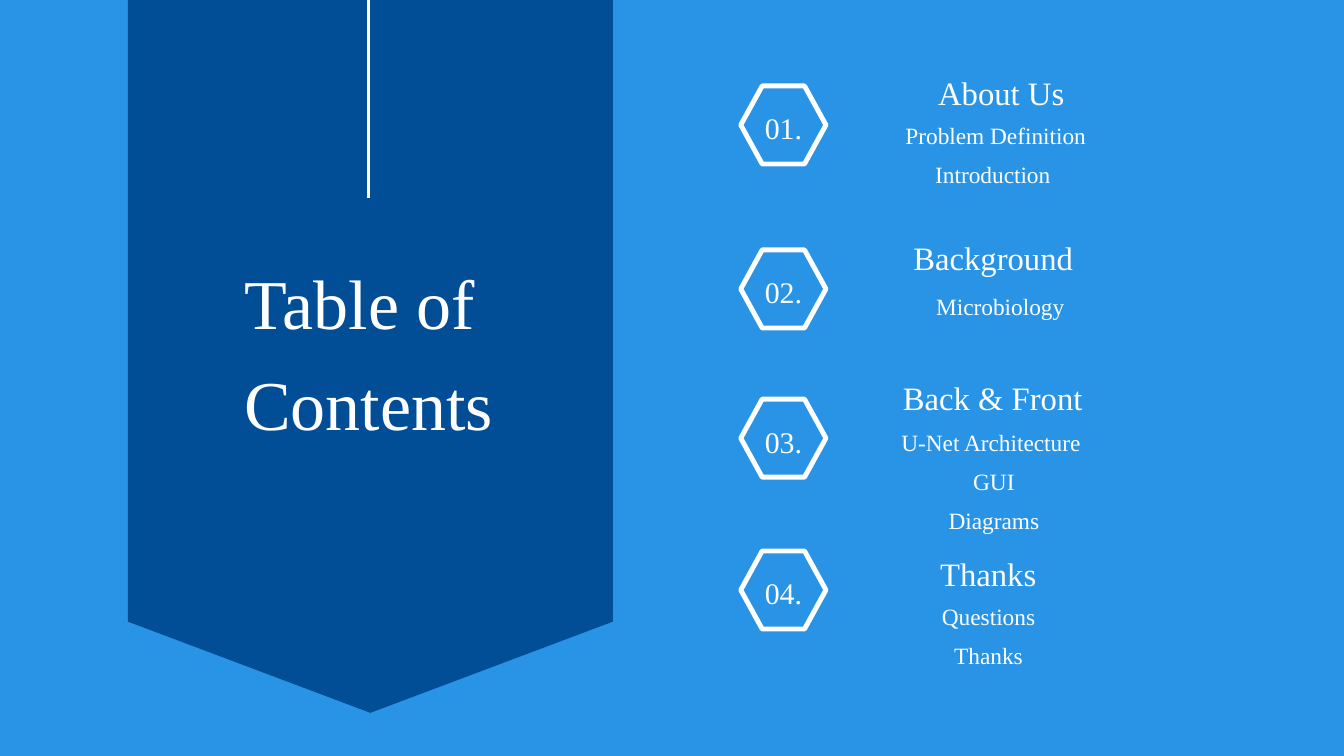
from lxml import etree
from pptx import Presentation
from pptx.dml.color import RGBColor
from pptx.enum import shapes, text
from pptx.oxml import ns
from pptx.util import Cm, Pt

COLOURS = {"background": "2994E5", "banner": "014E97", "white": "FFFFFF"}
FONT = "Times New Roman"
MARKER_LEFT = 28.0
MARKER_WIDTH, MARKER_HEIGHT, MARKER_INSET = 3.22, 2.95, 0.81

# Marker top, then heading and details, each with its
# (left, top, width) measured from the marker's corner.
SECTIONS = [
    (3.25, "About Us", (5.07, -0.81, 9.55),
     ["Problem Definition", "Introduction "], (3.88, 0.92, 11.51)),
    (9.45, "Background", (4.77, -0.74, 9.55),
     ["Microbiology"], (4.05, 1.19, 11.51)),
    (15.09, "Back & Front", (4.05, -1.12, 10.95),
     ["U-Net Architecture ", "GUI", "Diagrams"], (3.75, 0.66, 11.63)),
    (20.83, "Thanks", (3.88, -0.18, 10.95),
     ["Questions", "Thanks"], (3.55, 1.5, 11.63)),
]


def colour(name):
    return RGBColor.from_string(COLOURS[name])


def add_text(page, lines, left, top, width, height, size, spacing=1.2,
             anchor=text.MSO_ANCHOR.TOP, margin=0):
    box = page.shapes.add_textbox(Cm(left), Cm(top), Cm(width), Cm(height))
    frame = box.text_frame
    frame.word_wrap = True
    frame.vertical_anchor = anchor
    frame.margin_left = frame.margin_right = Cm(margin)
    frame.margin_top = frame.margin_bottom = Cm(margin)
    for index, line in enumerate(lines):
        para = frame.add_paragraph() if index else frame.paragraphs[0]
        para.alignment = text.PP_ALIGN.CENTER
        para.line_spacing = spacing
        span = para.add_run()
        span.text = line
        span.font.name = FONT
        span.font.size = Pt(size)
        span.font.color.rgb = colour("white")


def add_banner(page, left, top, width, height):
    """Draw the pointed banner with its hanging line and the title."""
    shoulder = top + height - 3.45
    right, middle = left + width, left + width / 2
    outline = page.shapes.build_freeform(Cm(left), Cm(top))
    outline.add_line_segments([(Cm(x), Cm(y)) for x, y in [
        (right, top), (right, shoulder), (middle, top + height),
        (left, shoulder)]])
    banner = outline.convert_to_shape()
    banner.shadow.inherit = False
    banner.fill.solid()
    banner.fill.fore_color.rgb = colour("banner")
    banner.line.fill.background()

    add_text(page, ["Table of ", "Contents"], left + 0.33, top + 9.19,
             17.55, 7.7, size=75)

    line_x = Cm(middle - 0.06)
    line = page.shapes.add_connector(
        shapes.MSO_CONNECTOR.STRAIGHT, line_x, Cm(top), line_x, Cm(top + 7.49))
    line.line.color.rgb = colour("white")
    line.line.width = Pt(3)
    etree.SubElement(line._element.spPr, ns.qn("a:effectLst"))


def add_marker(page, label, left, top):
    """Draw a hexagon outline with a number in it."""
    hexagon = page.shapes.add_shape(
        shapes.MSO_SHAPE.HEXAGON, Cm(left), Cm(top),
        Cm(MARKER_WIDTH), Cm(MARKER_HEIGHT))
    hexagon.adjustments[0] = MARKER_INSET / MARKER_HEIGHT
    hexagon.shadow.inherit = False
    hexagon.fill.background()
    hexagon.line.color.rgb = colour("white")
    hexagon.line.width = Pt(5.25)
    add_text(page, [label], left + 0.46, top - 0.05, 2.31, 3, size=32,
             anchor=text.MSO_ANCHOR.MIDDLE, margin=0.15)


def add_section(page, number, left, top, heading, heading_box,
                details, details_box):
    add_marker(page, f"{number:02}.", left, top)
    x, y, width = heading_box
    add_text(page, [heading], left + x, top + y, width, 1.8, size=35)
    x, y, width = details_box
    add_text(page, details, left + x, top + y, width, 1.5 * len(details),
             size=25, spacing=1.4)


def main():
    deck = Presentation()
    deck.slide_width, deck.slide_height = Cm(50.8), Cm(28.58)
    page = deck.slides.add_slide(deck.slide_layouts[6])
    page.background.fill.solid()
    page.background.fill.fore_color.rgb = colour("background")
    add_banner(page, 4.83, 0, 18.34, 26.95)
    for number, (top, *content) in enumerate(SECTIONS, start=1):
        add_section(page, number, MARKER_LEFT, top, *content)
    deck.save("out.pptx")


if __name__ == "__main__":
    main()
